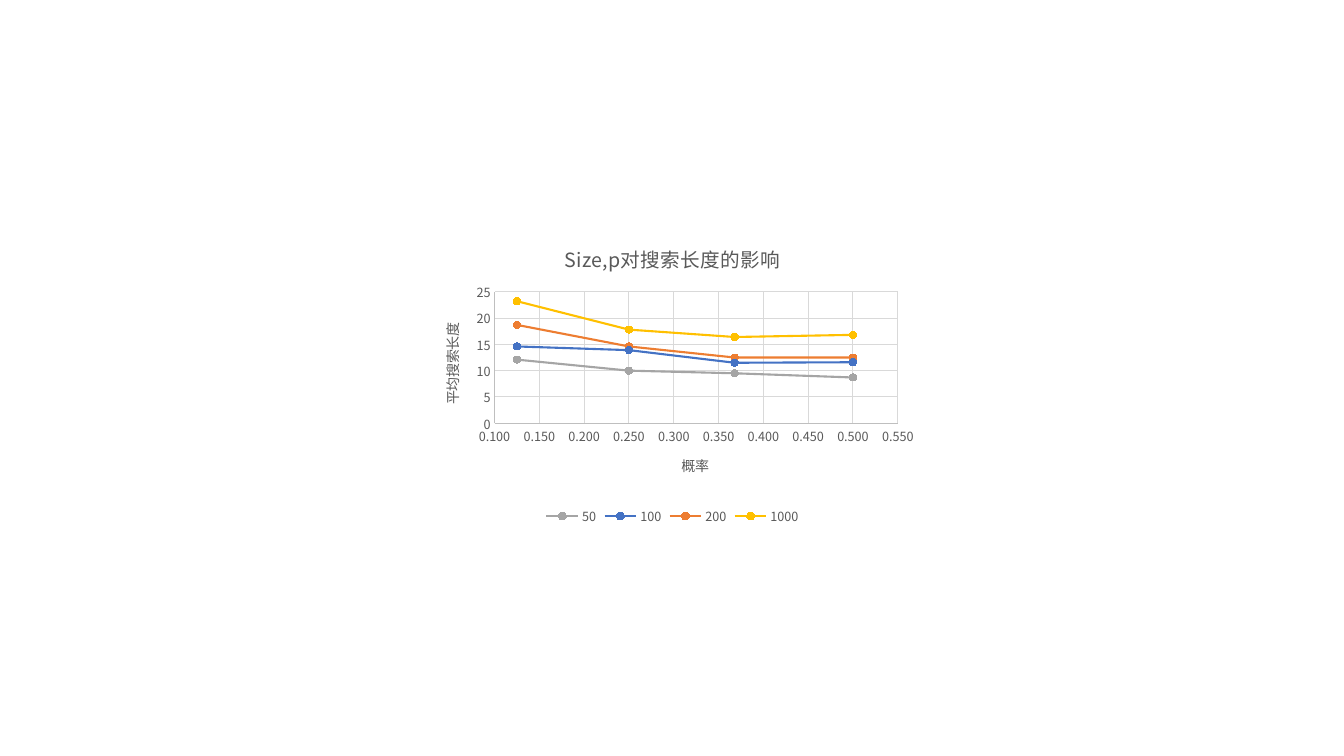
"""Build a slide with one smooth scatter chart of search length by probability."""
from dataclasses import dataclass

from lxml.etree import SubElement
from pptx import Presentation
from pptx.chart.data import XyChartData
from pptx.dml.color import RGBColor as RGB
from pptx.enum.chart import XL_CHART_TYPE as ChartType
from pptx.enum.chart import XL_LEGEND_POSITION as LegendPosition
from pptx.enum.chart import XL_MARKER_STYLE as MarkerStyle
from pptx.enum.chart import XL_TICK_MARK as TickMark
from pptx.oxml.ns import qn
from pptx.util import Inches, Pt


@dataclass(frozen=True)
class Theme:
    font: str = "Noto Sans CJK SC"
    text: str = "595959"
    axis: str = "BFBFBF"
    grid: str = "D9D9D9"
    title_size: float = 14
    axis_title_size: float = 10
    label_size: float = 9
    axis_width: float = 0.75
    curve_width: float = 1.5
    marker_size: int = 5


PROBABILITIES = (0.5, 0.368, 0.25, 0.125)
SEARCH_LENGTHS = {
    "50": ("A5A5A5", (8.7, 9.5, 10, 12.1)),
    "100": ("4472C4", (11.6, 11.5, 13.9, 14.6)),
    "200": ("ED7D31", (12.5, 12.5, 14.6, 18.7)),
    "1000": ("FFC000", (16.8, 16.4, 17.8, 23.2)),
}
PLOT_AREA = {"x": 0.147, "y": 0.215, "w": 0.8, "h": 0.435}
PROBABILITY_SCALE = {"minimum_scale": 0.1, "maximum_scale": 0.55, "major_unit": 0.05}
LENGTH_SCALE = {"minimum_scale": 0, "maximum_scale": 25, "major_unit": 5}


def apply(target, values):
    for name, value in values.items():
        setattr(target, name, value)


class ChartSlide:
    def __init__(self, presentation, theme):
        self.theme = theme
        self.slide = presentation.slides.add_slide(presentation.slide_layouts[6])

    def style_font(self, font, size):
        apply(font, {"name": self.theme.font, "size": Pt(size), "bold": False})
        font.color.rgb = RGB.from_string(self.theme.text)

    def style_line(self, line, color, width):
        line.color.rgb = RGB.from_string(color)
        line.width = Pt(width)

    def title(self, frame, wording, size):
        frame.text = wording
        self.style_font(frame.paragraphs[0].runs[0].font, size)

    def axis(self, axis, wording, scale, number_format):
        theme = self.theme
        apply(axis, {
            **scale,
            "has_major_gridlines": True,
            "major_tick_mark": TickMark.NONE,
            "minor_tick_mark": TickMark.NONE,
        })
        apply(axis.tick_labels, {
            "number_format": number_format,
            "number_format_is_linked": False,
        })
        self.style_font(axis.tick_labels.font, theme.label_size)
        self.style_line(axis.format.line, theme.axis, theme.axis_width)
        self.style_line(axis.major_gridlines.format.line, theme.grid, theme.axis_width)
        self.title(axis.axis_title.text_frame, wording, theme.axis_title_size)

    def curve(self, series, color):
        theme = self.theme
        series.smooth = True
        self.style_line(series.format.line, color, theme.curve_width)
        marker = series.marker
        apply(marker, {"style": MarkerStyle.CIRCLE, "size": theme.marker_size})
        marker.format.fill.solid()
        marker.format.fill.fore_color.rgb = RGB.from_string(color)
        self.style_line(marker.format.line, color, theme.axis_width)

    def legend(self, chart):
        chart.has_legend = True
        apply(chart.legend, {
            "position": LegendPosition.BOTTOM,
            "include_in_layout": False,
        })
        self.style_font(chart.legend.font, self.theme.label_size)

    def place_plot(self, chart):
        plot_area = chart.element.find(f".//{qn('c:plotArea')}")
        layout = plot_area.find(qn("c:layout"))
        if layout is None:
            layout = SubElement(plot_area, qn("c:layout"))
            plot_area.insert(0, layout)
        manual = SubElement(layout, qn("c:manualLayout"))
        settings = {"layoutTarget": "inner", "xMode": "edge", "yMode": "edge", **PLOT_AREA}
        for name, value in settings.items():
            SubElement(manual, qn(f"c:{name}")).set("val", str(value))

    def finish_text(self, chart):
        body = chart.value_axis.axis_title.element.find(f".//{qn('a:bodyPr')}")
        body.set("rot", "-5400000")
        body.set("vert", "horz")
        for latin in list(chart.element.iter(qn("a:latin"))):
            east_asian = SubElement(latin.getparent(), qn("a:ea"))
            east_asian.set("typeface", self.theme.font)
            latin.addnext(east_asian)

    def scatter(self, left, top, width, height):
        data = XyChartData()
        for size, (_, lengths) in SEARCH_LENGTHS.items():
            points = data.add_series(size)
            for probability, length in zip(PROBABILITIES, lengths):
                points.add_data_point(probability, length)
        chart = self.slide.shapes.add_chart(
            ChartType.XY_SCATTER_SMOOTH,
            Inches(left), Inches(top), Inches(width), Inches(height), data,
        ).chart
        self.style_font(chart.font, self.theme.axis_title_size)
        chart.has_title = True
        self.title(chart.chart_title.text_frame, "Size,p对搜索长度的影响", self.theme.title_size)
        chart.plots[0].vary_by_categories = False
        self.axis(chart.category_axis, "概率", PROBABILITY_SCALE, "0.000")
        self.axis(chart.value_axis, "平均搜索长度", LENGTH_SCALE, "General")
        for series, (color, _) in zip(chart.plots[0].series, SEARCH_LENGTHS.values()):
            self.curve(series, color)
        self.legend(chart)
        self.place_plot(chart)
        self.finish_text(chart)


def main():
    presentation = Presentation()
    apply(presentation, {"slide_width": Inches(13.33), "slide_height": Inches(7.5)})
    ChartSlide(presentation, Theme()).scatter(4.17, 2.25, 5, 3)
    presentation.save("out.pptx")


if __name__ == "__main__":
    main()
